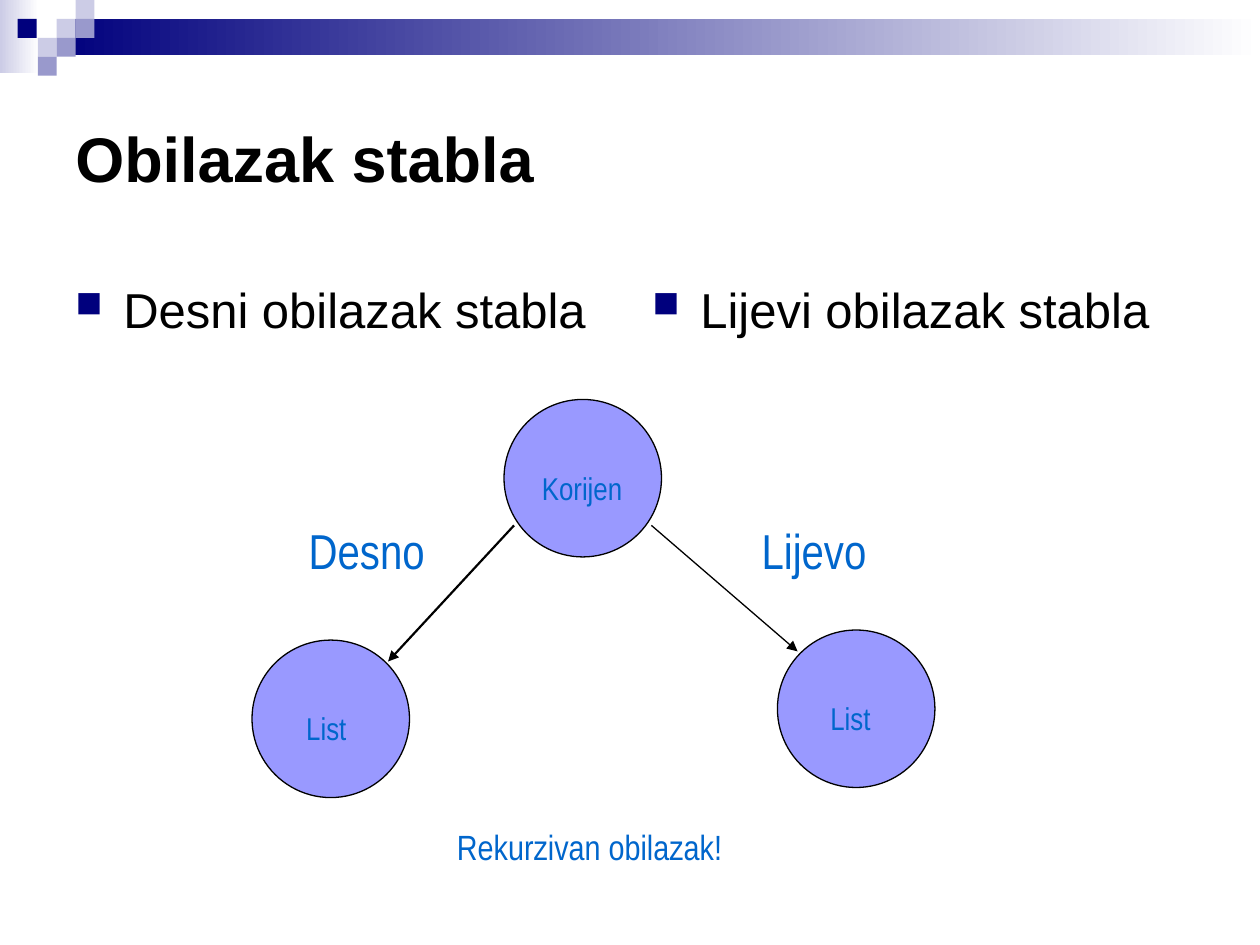
from lxml.etree import SubElement
from pptx import Presentation
from pptx.dml.color import RGBColor
from pptx.enum.shapes import MSO_CONNECTOR, MSO_SHAPE
from pptx.enum.text import MSO_ANCHOR, PP_ALIGN
from pptx.oxml.ns import qn
from pptx.util import Inches, Pt

NAVY, LAVENDER, PALE = "00007D", "9999CC", "CCCCE6"
BLACK, WHITE, BLUE, NODE_FILL = "000000", "FFFFFF", "0066CC", "9999FF"
SQUARE = 0.15
NODE_SIZE = 1.25


def color(hex_value):
    return RGBColor.from_string(hex_value)


def add_rectangle(slide, left, top, width, height):
    shape = slide.shapes.add_shape(
        MSO_SHAPE.RECTANGLE, Inches(left), Inches(top), Inches(width), Inches(height))
    shape.shadow.inherit = False
    shape.line.fill.background()
    return shape


def add_fading_bar(slide, left, top, width, height, start_color):
    fill = add_rectangle(slide, left, top, width, height).fill
    fill.gradient()
    fill.gradient_angle = 180
    for stop, hex_value in zip(fill.gradient_stops, (WHITE, start_color)):
        stop.color.rgb = color(hex_value)


def add_square(slide, left, top, hex_value):
    fill = add_rectangle(slide, left, top, SQUARE, SQUARE).fill
    fill.solid()
    fill.fore_color.rgb = color(hex_value)


def add_text(slide, text, left, top, width, height, size,
             font="Arial", hex_value=BLACK, bold=False,
             anchor=MSO_ANCHOR.TOP, bullet=False):
    box = slide.shapes.add_textbox(
        Inches(left), Inches(top), Inches(width), Inches(height))
    frame = box.text_frame
    frame.word_wrap = True
    frame.vertical_anchor = anchor
    paragraph = frame.paragraphs[0]
    paragraph.text = text
    if bullet:
        add_square_bullet(paragraph)
    paragraph.font.name = font
    paragraph.font.size = Pt(size)
    paragraph.font.bold = bold
    paragraph.font.color.rgb = color(hex_value)
    return frame


def add_square_bullet(paragraph):
    properties = paragraph._p.get_or_add_pPr()
    properties.set("marL", str(Inches(0.38)))
    properties.set("indent", str(Inches(-0.38)))
    bullet_color = SubElement(properties, qn("a:buClr"))
    SubElement(bullet_color, qn("a:srgbClr"), val=NAVY)
    SubElement(properties, qn("a:buSzPct"), val="75000")
    # The letter n is a filled square in Wingdings
    SubElement(properties, qn("a:buFont"), typeface="Wingdings", charset="2")
    SubElement(properties, qn("a:buChar"), char="n")


def add_label(slide, text, left, top, width, height, size):
    frame = add_text(slide, text, left, top, width, height, size,
                     font="Arial Narrow", hex_value=BLUE)
    frame.word_wrap = False
    frame.margin_left = frame.margin_right = 0
    frame.paragraphs[0].alignment = PP_ALIGN.CENTER


def add_node(slide, left, top):
    shape = slide.shapes.add_shape(
        MSO_SHAPE.OVAL, Inches(left), Inches(top), Inches(NODE_SIZE), Inches(NODE_SIZE))
    shape.shadow.inherit = False
    shape.fill.solid()
    shape.fill.fore_color.rgb = color(NODE_FILL)
    shape.line.color.rgb = color(BLACK)
    shape.line.width = Pt(0.75)


def add_arrow(slide, start, end, width):
    connector = slide.shapes.add_connector(
        MSO_CONNECTOR.STRAIGHT, *(Inches(value) for value in start + end))
    connector.line.color.rgb = color(BLACK)
    connector.line.width = Pt(width)
    SubElement(connector.line._get_or_add_ln(), qn("a:tailEnd"), type="triangle")
    SubElement(connector._element.spPr, qn("a:effectLst"))


def main():
    presentation = Presentation()
    presentation.slide_width = Inches(10)
    presentation.slide_height = Inches(7.5)
    slide = presentation.slides.add_slide(presentation.slide_layouts[6])

    # Header bars and squares
    add_fading_bar(slide, 0, 0, 0.31, 0.58, PALE)
    add_fading_bar(slide, 0.45, 0.15, 9.55, 0.29, NAVY)
    for left, top, hex_value in (
            (0.45, 0.15, PALE), (0.6, 0, PALE), (0.6, 0.15, LAVENDER),
            (0.3, 0.3, PALE), (0.14, 0.15, NAVY), (0.45, 0.3, LAVENDER),
            (0.3, 0.45, LAVENDER)):
        add_square(slide, left, top, hex_value)

    # Title and bullets
    add_text(slide, "Obilazak stabla", 0.5, 0.5, 9, 1.5, 36,
             bold=True, anchor=MSO_ANCHOR.MIDDLE)
    for text, left, height in (("Desni obilazak stabla", 0.5, 0.83),
                               ("Lijevi obilazak stabla", 5.08, 0.92)):
        add_text(slide, text, left, 2.17, 4.42, height, 28, bullet=True)

    # Tree nodes and branches
    for left, top in ((4, 3.17), (2, 5.08), (6.17, 5)):
        add_node(slide, left, top)
    add_arrow(slide, (4.08, 4.17), (3.08, 5.25), 1.25)
    add_arrow(slide, (5.17, 4.17), (6.33, 5.17), 0.75)

    # Tree labels
    add_label(slide, "Desno", 2.42, 4.08, 0.98, 0.47, 28)
    add_label(slide, "Lijevo", 6, 4.08, 0.92, 0.47, 28)
    add_label(slide, "Korijen", 4.25, 3.67, 0.74, 0.3, 18)
    add_label(slide, "Rekurzivan obilazak!", 3.5, 6.5, 2.36, 0.35, 20)
    for left, top in ((2.42, 5.58), (6.58, 5.5)):
        add_label(slide, "List", left, top, 0.34, 0.3, 18)

    presentation.save("out.pptx")


if __name__ == "__main__":
    main()
